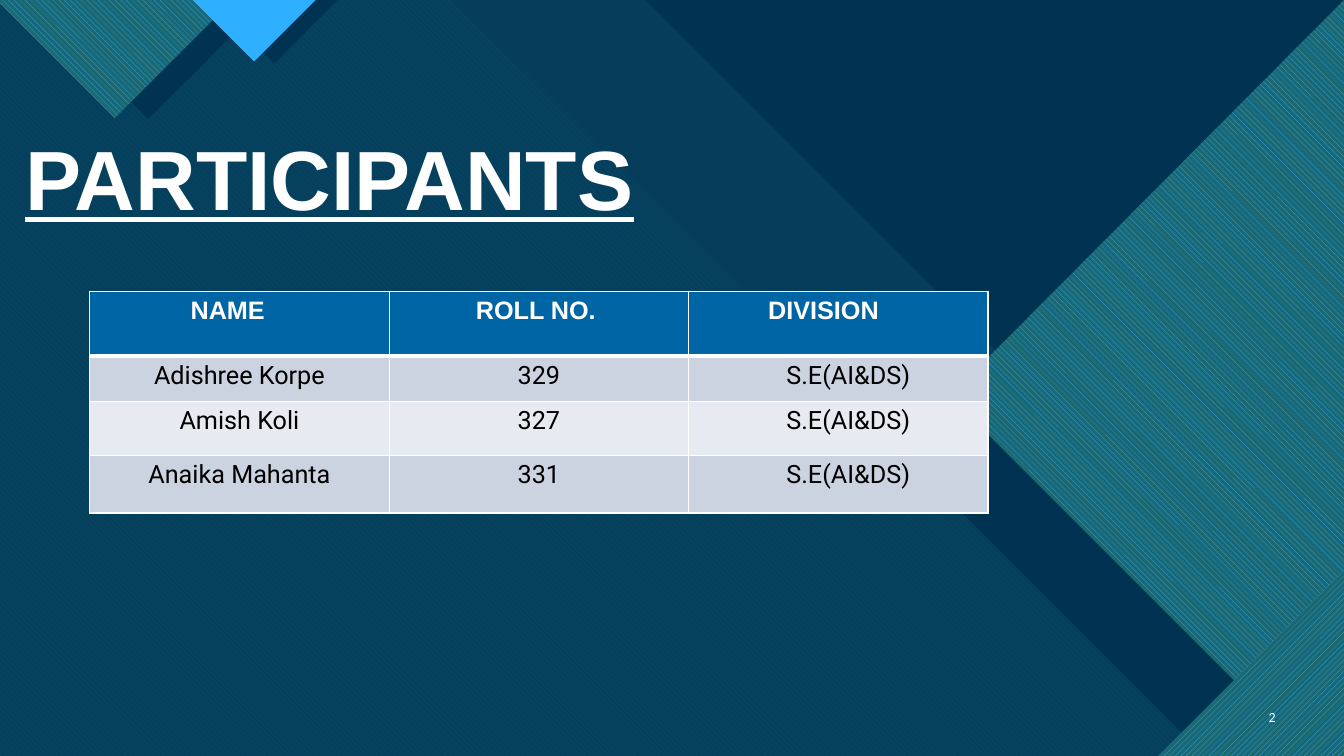
from pptx import Presentation
from pptx.dml.color import RGBColor
from pptx.enum.dml import MSO_PATTERN
from pptx.enum.text import MSO_ANCHOR, MSO_AUTO_SIZE, PP_ALIGN
from pptx.oxml import parse_xml
from pptx.oxml.ns import nsdecls
from pptx.util import Inches, Pt
from lxml import etree

DOWN = MSO_PATTERN.WIDE_DOWNWARD_DIAGONAL
UP = MSO_PATTERN.WIDE_UPWARD_DIAGONAL
LEFT, MID, RIGHT = PP_ALIGN.LEFT, PP_ALIGN.CENTER, PP_ALIGN.RIGHT
BOTTOM, CENTER = MSO_ANCHOR.BOTTOM, MSO_ANCHOR.MIDDLE
FIXED = MSO_AUTO_SIZE.NONE

# The grid has square cells, one inch to a column and to a row
CELL = Inches(1)
WIDE, HIGH = 13.33, 7.5

HEX = {
    "base": "0C4360", "navy": "003352", "aqua": "47C3D3", "teal": "1B6872",
    "sky": "2FAFFF", "blue": "0065A4", "white": "FFFFFF", "black": "000000",
    "odd": "CCD3E0", "even": "E7EAF0",
}

# Full-slide panes: points, colour, opacity, pattern, pattern ground
SIDE = [(WIDE, HIGH), (0, HIGH)]
PANES = [
    ([(0, 0), (8.26, 0), (11.23, 2.97), (12.35, 2.97), (WIDE, 3.96)] + SIDE,
     "aqua", 74, None, None),
    ([(0, 0), (4.49, 0), (7.46, 2.97), (8.72, 2.97), (13.25, HIGH), (0, HIGH)],
     "blue", 100, DOWN, "aqua"),
    ([(6.4, 0), (WIDE, 0), (WIDE, 6.93)], "navy", 100, None, None),
    ([(0, 0), (6.95, 0), (9.92, 2.97), (11.18, 2.97), (WIDE, 5.13)] + SIDE,
     "navy", 90, None, None),
]

# Large diamond on the right and the corner below it, shadows first
EDGES = [
    ([(WIDE, 0.68), (WIDE, HIGH), (11.95, HIGH), (9.23, 4.78)],
     "navy", 100, None, None),
    ([(WIDE, 0), (WIDE, HIGH), (12.99, HIGH), (9.42, 3.93)],
     "sky", 100, DOWN, "teal"),
    ([(WIDE, 6.14), (WIDE, HIGH), (11.97, HIGH)], "navy", 100, None, None),
    ([(WIDE, 5.66), (WIDE, HIGH), (11.49, HIGH)], "sky", 100, UP, "teal"),
]

# Triangles on the top edge: middle, depth, colour, pattern, ground
PEAKS = [
    (1.47, 1.18, "navy", None, None),
    (1.14, 1.17, "sky", DOWN, "teal"),
    (2.72, 0.63, "navy", None, None),
    (2.52, 0.61, "sky", None, None),
]

# Table: header with its left margin, then the rows
HEADS = [("NAME", 1), ("ROLL NO.", 0.86), ("DIVISION", 0.79)]
TEAM = [("Adishree Korpe", "329"), ("Amish Koli", "327"),
        ("Anaika Mahanta", "331")]
CLASS = "S.E(AI&DS)"
ROWS = [0.64, 0.45, 0.54, 0.57]


def grid(num):
    return int(num * CELL)


def tint(name):
    return RGBColor.from_string(HEX[name])


def paint(fill, name):
    fill.solid()
    fill.fore_color.rgb = tint(name)


def style(para, face, size, name, bold=False, line=False):
    for run in para.runs:
        font = run.font
        font.name, font.size, font.bold = face, Pt(size), bold
        font.underline = line
        font.color.rgb = tint(name)


def facet(slide, pts, name, clear=100, weave=None, ground=None):
    """Draw one flat or woven polygon of the backdrop."""
    spots = [(grid(x), grid(y)) for x, y in pts]
    pen = slide.shapes.build_freeform(*spots[0])
    pen.add_line_segments(spots[1:], close=True)
    shape = pen.convert_to_shape()
    shape.shadow.inherit = False
    shape.line.fill.background()
    if weave is None:
        paint(shape.fill, name)
    else:
        shape.fill.patterned()
        shape.fill.pattern = weave
        shape.fill.fore_color.rgb = tint(name)
        shape.fill.back_color.rgb = tint(ground)
    if clear < 100:
        for tone in shape.element.spPr.xpath("./a:solidFill/a:srgbClr"):
            alpha = etree.SubElement(
                tone, tone.tag.replace("srgbClr", "alpha"))
            alpha.set("val", str(clear * 1000))


def peak(slide, mid, deep, name, weave, ground):
    pts = [(mid - deep, 0), (mid, deep), (mid + deep, 0)]
    facet(slide, pts, name, 100, weave, ground)


def title(slide, text):
    box = slide.shapes.title
    slide.shapes.element.append(box.element)  # bring in front of the backdrop
    box.left, box.top = grid(0.15), grid(1.38)
    box.width, box.height = grid(8.51), grid(0.94)
    frame = box.text_frame
    frame.text = text
    frame.auto_size, frame.vertical_anchor = FIXED, BOTTOM
    para = frame.paragraphs[0]
    para.alignment, para.line_spacing = LEFT, 0.9
    style(para, "Arial", 60, "white", True, True)


def number(slide, text):
    box = slide.shapes.add_textbox(
        grid(12.31), grid(6.91), grid(0.44), grid(0.4))
    frame = box.text_frame
    frame.word_wrap, frame.vertical_anchor = True, CENTER
    frame.text = text
    para = frame.paragraphs[0]
    para.alignment = RIGHT
    style(para, "Calibri", 10, "white")


def border(cell, base):
    """Rule all four sides in white, with the given weight below."""
    props = cell._tc.get_or_add_tcPr()
    for side, size in (("L", 1), ("R", 1), ("T", 1), ("B", base)):
        props.append(parse_xml(
            f'<a:ln{side} {nsdecls("a")} w="{Pt(size)}"><a:solidFill>'
            f'<a:srgbClr val="{HEX["white"]}"/></a:solidFill></a:ln{side}>'))


def entry(cell, text, back, face, ink, bold=False, inset=None, base=1):
    """Fill a cell; an inset sets the text left, otherwise it is centred."""
    border(cell, base)
    paint(cell.fill, back)
    cell.text = text
    para = cell.text_frame.paragraphs[0]
    para.alignment = MID if inset is None else LEFT
    if inset is not None:
        cell.margin_left = grid(inset)
    style(para, face, 18, ink, bold)


def roster(slide):
    frame = slide.shapes.add_table(
        len(ROWS), len(HEADS), grid(0.89), grid(2.89),
        grid(8.91), grid(sum(ROWS)))
    table = frame.table
    for row, high in zip(table.rows, ROWS):
        row.height = grid(high)
    for col, (text, inset) in enumerate(HEADS):
        table.columns[col].width = grid(2.97)
        entry(table.cell(0, col), text, "blue", "Arial", "white",
              True, inset, 3)
    for row, (name, roll) in enumerate(TEAM, 1):
        back = "odd" if row % 2 else "even"
        for col, (text, inset) in enumerate(
                [(name, None), (roll, None), (CLASS, 0.97)]):
            entry(table.cell(row, col), text, back, "Roboto", "black",
                  inset=inset)


def main():
    deck = Presentation()
    deck.slide_width, deck.slide_height = grid(WIDE), grid(HIGH)
    slide = deck.slides.add_slide(deck.slide_layouts[5])

    # Backdrop
    paint(slide.background.fill, "base")
    for part in PANES + EDGES:
        facet(slide, *part)
    for part in PEAKS:
        peak(slide, *part)

    # Content
    title(slide, "PARTICIPANTS")
    number(slide, "2")
    roster(slide)
    deck.save("out.pptx")


if __name__ == "__main__":
    main()
